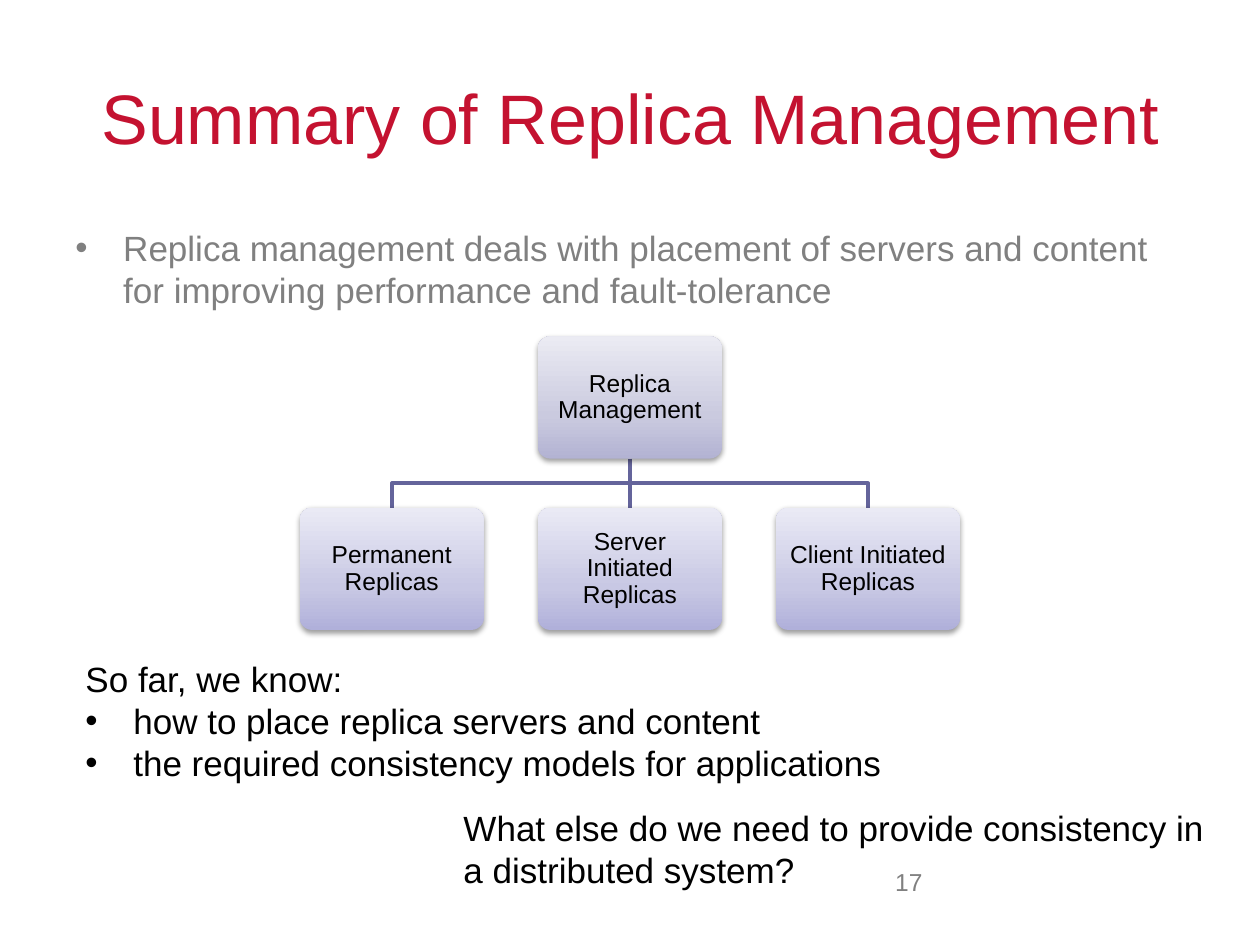
from lxml.etree import SubElement
from pptx import Presentation
from pptx.dml.color import RGBColor
from pptx.enum.shapes import MSO_CONNECTOR, MSO_SHAPE
from pptx.enum.text import MSO_ANCHOR, PP_ALIGN
from pptx.oxml import parse_xml
from pptx.oxml.ns import nsdecls, qn
from pptx.util import Inches, Pt

RED = RGBColor(0xC4, 0x12, 0x30)
GRAY = RGBColor(0x80, 0x80, 0x80)
BLACK = RGBColor(0, 0, 0)
LINK = RGBColor(0x64, 0x64, 0x9B)
ROOT_SHADES = (RGBColor(0xB3, 0xB3, 0xD3), RGBColor(0xCA, 0xCA, 0xDF), RGBColor(0xEB, 0xEB, 0xF3))
LEAF_SHADES = (RGBColor(0xB0, 0xB0, 0xDA), RGBColor(0xC8, 0xC8, 0xE4), RGBColor(0xEA, 0xEA, 0xF5))
HANG = 0.38
NODE_WIDTH, NODE_HEIGHT = 1.46, 0.97


def write(paragraph, text, size, color, align=PP_ALIGN.LEFT, bullet=False, indent=0):
    """Add one run to a paragraph, optionally bulleted or indented."""
    paragraph.alignment = align
    run = paragraph.add_run()
    run.text = text
    run.font.size = Pt(size)
    run.font.name = "Arial"
    run.font.color.rgb = color
    properties = paragraph._p.get_or_add_pPr()
    if bullet:
        properties.set("marL", str(Inches(HANG)))
        properties.set("indent", str(-Inches(HANG)))
        SubElement(properties, qn("a:buFont")).set("typeface", "Arial")
        SubElement(properties, qn("a:buChar")).set("char", "•")
    elif indent:
        properties.set("marL", str(Inches(indent)))
        properties.set("indent", "0")


def text_frame(slide, left, top, width, height, anchor=MSO_ANCHOR.TOP):
    """Add a wrapping text box and return its frame."""
    box = slide.shapes.add_textbox(Inches(left), Inches(top), Inches(width), Inches(height))
    box.text_frame.word_wrap = True
    box.text_frame.vertical_anchor = anchor
    return box.text_frame


def add_heading(slide, left, top, width, height):
    """Place the slide title."""
    frame = text_frame(slide, left, top, width, height, MSO_ANCHOR.MIDDLE)
    write(frame.paragraphs[0], "Summary of Replica Management", 40, RED, PP_ALIGN.CENTER)


def add_definition(slide, left, top, width, height):
    """Place the opening bullet."""
    frame = text_frame(slide, left, top, width, height)
    write(frame.paragraphs[0], "Replica management deals with placement of servers and content "
          "for improving performance and fault-tolerance", 20, GRAY, bullet=True)


def add_node(slide, left, top, label, shades):
    """Place one rounded node with a vertical gradient and a soft shadow."""
    node = slide.shapes.add_shape(MSO_SHAPE.ROUNDED_RECTANGLE, Inches(left), Inches(top),
                                  Inches(NODE_WIDTH), Inches(NODE_HEIGHT))
    node.adjustments[0] = 0.1
    node.line.fill.background()
    stops = "".join(f'<a:gs pos="{position}"><a:srgbClr val="{shade}"/></a:gs>'
                    for position, shade in zip((0, 35000, 100000), shades))
    node._element.spPr.find(qn("a:prstGeom")).addnext(parse_xml(
        f'<a:gradFill rotWithShape="1" {nsdecls("a")}><a:gsLst>{stops}</a:gsLst>'
        '<a:lin ang="16200000" scaled="0"/></a:gradFill>'))
    node._element.spPr.append(parse_xml(
        f'<a:effectLst {nsdecls("a")}><a:outerShdw blurRad="40000" dist="20000" dir="5400000" '
        'rotWithShape="0"><a:srgbClr val="000000"><a:alpha val="38000"/></a:srgbClr>'
        '</a:outerShdw></a:effectLst>'))
    frame = node.text_frame
    frame.word_wrap = True
    frame.vertical_anchor = MSO_ANCHOR.MIDDLE
    frame.margin_left = frame.margin_right = frame.margin_top = frame.margin_bottom = Inches(0.06)
    frame.paragraphs[0].line_spacing = 0.9
    write(frame.paragraphs[0], label, 14, BLACK, PP_ALIGN.CENTER)


def add_link(slide, start_x, start_y, end_x, end_y):
    """Join a parent to a child, turning halfway down when they are not aligned."""
    if start_x == end_x:
        link = slide.shapes.add_connector(MSO_CONNECTOR.STRAIGHT, Inches(start_x), Inches(start_y),
                                          Inches(end_x), Inches(end_y))
        SubElement(link._element.spPr, qn("a:effectLst"))
    else:
        middle = (start_y + end_y) / 2
        outline = slide.shapes.build_freeform(Inches(start_x), Inches(start_y))
        outline.add_line_segments([(Inches(x), Inches(y)) for x, y in (
            (start_x, middle), (end_x, middle), (end_x, end_y))], close=False)
        link = outline.convert_to_shape()
        link.fill.background()
        link.shadow.inherit = False
    link.line.color.rgb = LINK
    link.line.width = Pt(2)


def add_hierarchy(slide, left, top, width, height):
    """Place the root node above three evenly spaced children."""
    leaves = ("Permanent Replicas", "Server Initiated Replicas", "Client Initiated Replicas")
    center = left + width / 2
    pitch = (width - NODE_WIDTH) / (len(leaves) - 1)
    leaf_top = top + height - NODE_HEIGHT
    centers = [center + (index - 1) * pitch for index in range(len(leaves))]
    for leaf_center in centers:
        add_link(slide, center, top + NODE_HEIGHT, leaf_center, leaf_top)
    add_node(slide, center - NODE_WIDTH / 2, top, "Replica Management", ROOT_SHADES)
    for leaf_center, label in zip(centers, leaves):
        add_node(slide, leaf_center - NODE_WIDTH / 2, leaf_top, label, LEAF_SHADES)


def add_conclusion(slide, left, top, width, height):
    """Place the known facts and the indented closing question."""
    frame = text_frame(slide, left, top, width, height)
    write(frame.paragraphs[0], "So far, we know:", 20, BLACK)
    for fact in ("how to place replica servers and content",
                 "the required consistency models for applications"):
        write(frame.add_paragraph(), fact, 20, BLACK, bullet=True)
    question = frame.add_paragraph()
    question.space_before = Pt(13)
    write(question, "What else do we need to provide consistency in a distributed system?",
          20, BLACK, indent=3)


def add_page_number(slide, left, top, width, height):
    """Place the page number."""
    frame = text_frame(slide, left, top, width, height)
    write(frame.paragraphs[0], "17", 14, GRAY, PP_ALIGN.RIGHT)


def main():
    """Build and save the slide."""
    deck = Presentation()
    deck.slide_width, deck.slide_height = Inches(10), Inches(7.5)
    slide = deck.slides.add_slide(deck.slide_layouts[6])
    add_heading(slide, 0.5, 0.3, 9, 1.25)
    add_definition(slide, 0.5, 1.75, 9, 4.95)
    add_page_number(slide, 6.5, 6.83, 0.92, 0.52)
    add_hierarchy(slide, 2.38, 2.67, 5.24, 2.33)
    add_conclusion(slide, 0.58, 5.17, 9.08, 1.63)
    deck.save("out.pptx")


main()
